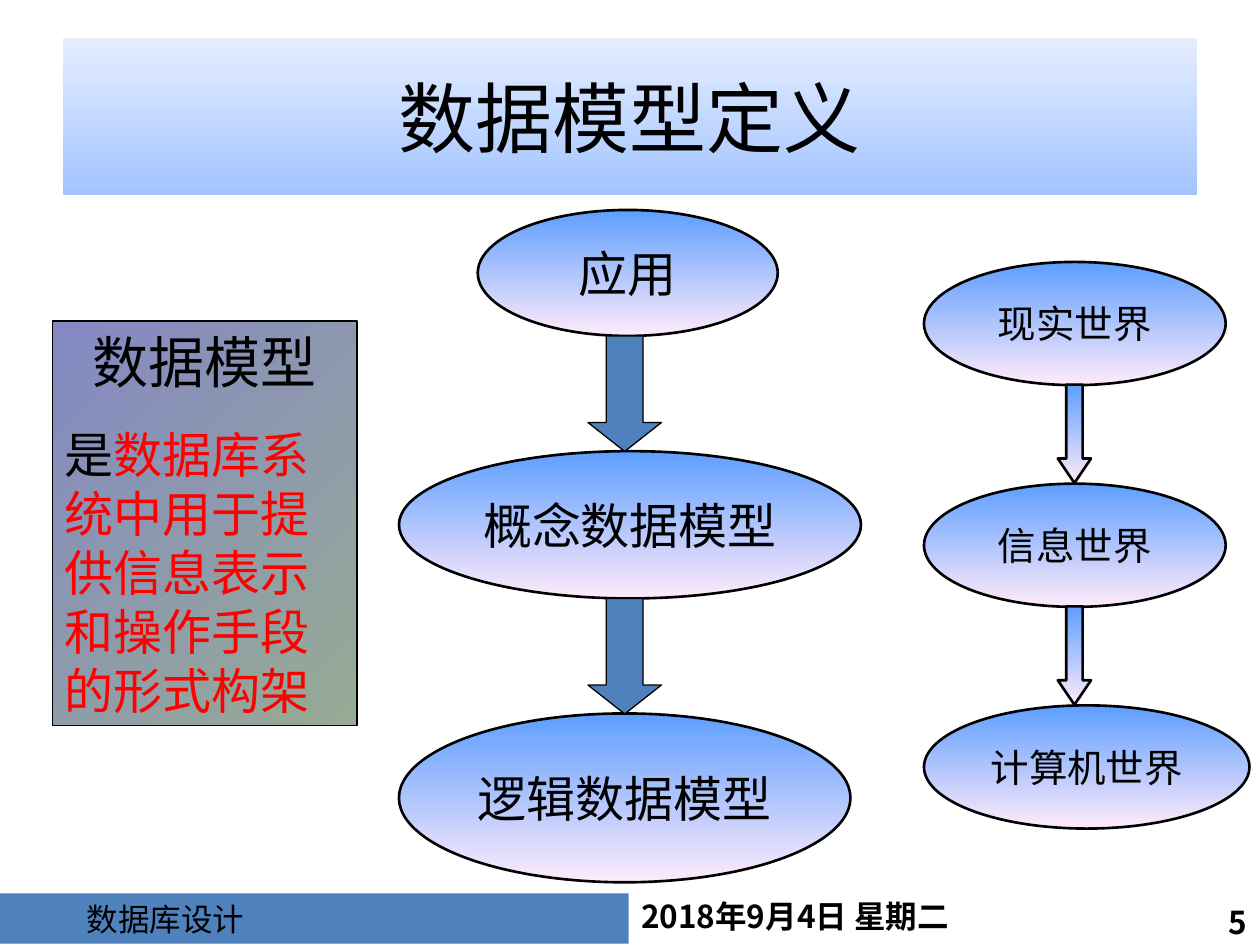
from lxml import etree
from pptx import Presentation
from pptx import util as u
from pptx.dml.color import RGBColor
from pptx.enum import shapes, text
from pptx.oxml import ns

Pt = u.Pt
CJK = "Noto Sans CJK SC"
CENTER = text.PP_ALIGN.CENTER
LEFT = text.PP_ALIGN.LEFT


def paint(shape, colors, angle=270, line=None):
    shape.shadow.inherit = False
    if len(colors) == 1:
        shape.fill.solid()
        shape.fill.fore_color.rgb = RGBColor.from_string(colors[0])
    else:
        shape.fill.gradient()
        shape.fill.gradient_angle = angle
        for stop, color, position in zip(shape.fill.gradient_stops, colors, (0, 1)):
            stop.color.rgb = RGBColor.from_string(color)
            stop.position = position
    if line:
        shape.line.color.rgb = RGBColor.from_string("000000")
        shape.line.width = Pt(line)
    else:
        shape.line.fill.background()


def style(paragraph, size, align=CENTER, face=CJK, bold=False):
    paragraph.alignment = align
    font = paragraph.font
    font.size = Pt(size)
    font.bold = bold
    font.name = face
    font.color.rgb = RGBColor.from_string("000000")
    defaults = paragraph._p.pPr.find(ns.qn("a:defRPr"))
    etree.SubElement(defaults, ns.qn("a:ea")).set("typeface", face)


prs = Presentation()
prs.slide_width, prs.slide_height = Pt(720), Pt(540)
slide = prs.slides.add_slide(prs.slide_layouts[5])

title = slide.shapes.title
title.left, title.top, title.width, title.height = Pt(36), Pt(21.6), Pt(648), Pt(90)
title.fill.gradient()
title.fill.gradient_angle = 90
for stop, color, position in zip(title.fill.gradient_stops, ("A3C4FF", "E5EEFF"), (0, 1)):
    stop.color.rgb = RGBColor.from_string(color)
    stop.position = position
title.text_frame.text = "数据模型定义"
title.text_frame.vertical_anchor = text.MSO_ANCHOR.MIDDLE
style(title.text_frame.paragraphs[0], 44)

footer = slide.shapes.add_shape(
    shapes.MSO_SHAPE.RECTANGLE, 0, Pt(510.5), Pt(359.3), Pt(28.8))
paint(footer, ["4F81BD"])
date = slide.shapes.add_textbox(Pt(359.3), Pt(509), Pt(256.3), Pt(28.8))
number = slide.shapes.add_textbox(Pt(626.4), Pt(510.5), Pt(93.6), Pt(33.1))
for box, words, align, face, bold, indent in (
    (footer, "数据库设计", LEFT, "Noto Sans CJK JP", False, 49.7),
    (date, "2018年9月4日 星期二", LEFT, CJK, True, 7.2),
    (number, "5", text.PP_ALIGN.RIGHT, CJK, True, 7.2),
):
    frame = box.text_frame
    frame.word_wrap = True
    frame.vertical_anchor = text.MSO_ANCHOR.MIDDLE
    frame.margin_left = Pt(indent)
    frame.margin_top = frame.margin_bottom = 0
    frame.text = words
    style(frame.paragraphs[0], 18, align, face, bold)

definition = slide.shapes.add_shape(
    shapes.MSO_SHAPE.RECTANGLE, Pt(30), Pt(183.4), Pt(174), Pt(231.2))
paint(definition, ["8488C4", "96AB94"], angle=315, line=0.75)
frame = definition.text_frame
frame.word_wrap = True
frame.auto_size = text.MSO_AUTO_SIZE.SHAPE_TO_FIT_TEXT
frame.vertical_anchor = text.MSO_ANCHOR.TOP
term = frame.paragraphs[0]
term.text = "数据模型"
style(term, 32, face="Arial Narrow")
term.space_before = Pt(20)
meaning = frame.add_paragraph()
meaning.add_run().text = "是"
key_phrase = meaning.add_run()
key_phrase.text = "数据库系统中用于提供信息表示和操作手段的形式构架"
key_phrase.font.color.rgb = RGBColor.from_string("FF0000")
style(meaning, 28, LEFT, "Arial Narrow")
meaning.space_before = Pt(17.5)

models = slide.shapes.add_group_shape().shapes
worlds = slide.shapes.add_group_shape().shapes
for group, words, size, left, top, width, height in (
    (models, "应用", 28, 273, 120, 171.4, 72),
    (models, "概念数据模型", 28, 228, 257.8, 264, 84.2),
    (models, "逻辑数据模型", 28, 228, 407.7, 258, 96.5),
    (worlds, "现实世界", 22, 528, 149.7, 172.4, 70.4),
    (worlds, "信息世界", 22, 528, 276.4, 172.4, 70.4),
    (worlds, "计算机世界", 22, 528, 403.1, 186, 70.4),
):
    stage = group.add_shape(shapes.MSO_SHAPE.OVAL, Pt(left), Pt(top), Pt(width), Pt(height))
    paint(stage, ["5E9EFF", "FFEBFA"], line=1.5)
    stage.text_frame.text = words
    stage.text_frame.word_wrap = False
    stage.text_frame.vertical_anchor = text.MSO_ANCHOR.MIDDLE
    style(stage.text_frame.paragraphs[0], size)

for top in (192, 342):
    model_step = models.add_shape(
        shapes.MSO_SHAPE.DOWN_ARROW, Pt(336), Pt(top), Pt(42), Pt(66))
    model_step.adjustments[1] = 0.393
    paint(model_step, ["4F81BD"], line=0.75)

axis, shaft, head, neck, length = 614, 4.7, 9.5, 42.2, 56.2
for top in (219.8, 346.5):
    outline = [(-head, neck), (-shaft, neck), (-shaft, 0), (shaft, 0),
               (shaft, neck), (head, neck), (0, length)]
    corners = [(Pt(axis + x), Pt(top + y)) for x, y in outline]
    builder = worlds.build_freeform(*corners[0])
    builder.add_line_segments(corners[1:], close=True)
    paint(builder.convert_to_shape(), ["5E9EFF", "FFEBFA"], line=1.5)

prs.save("out.pptx")
